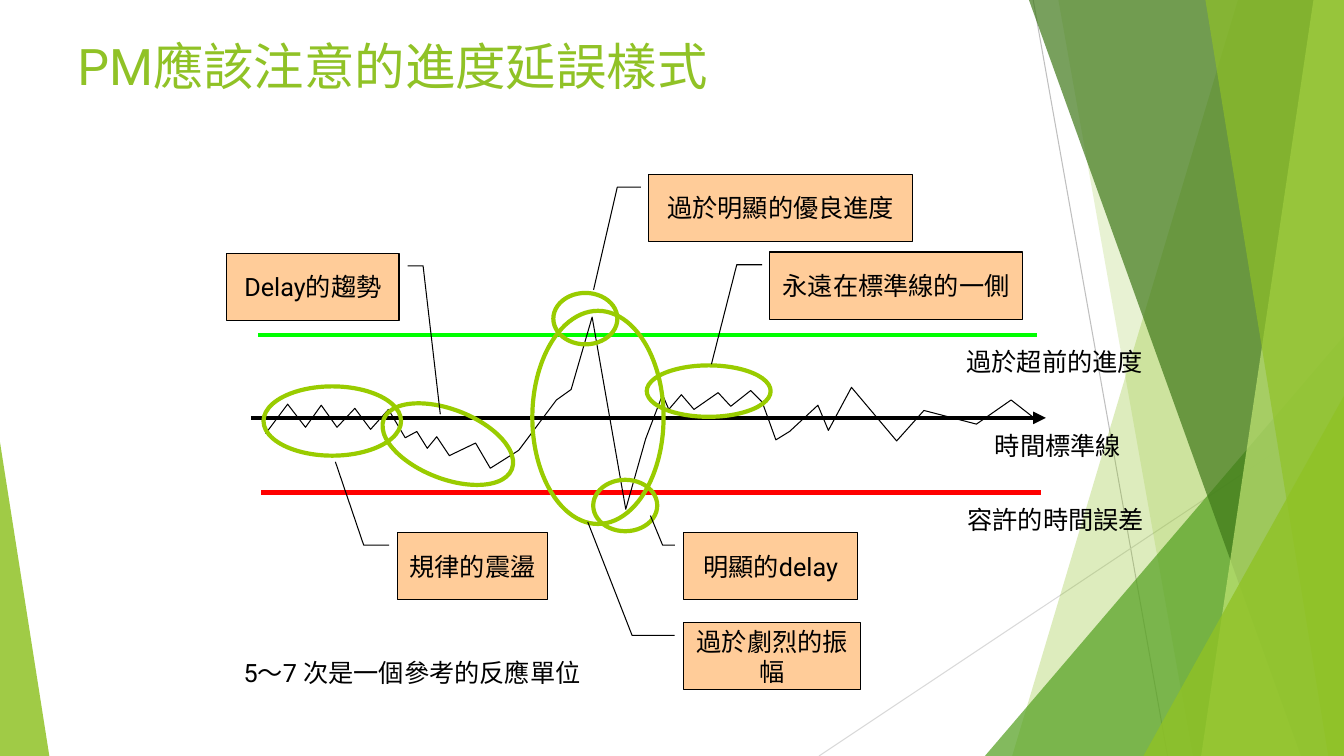
from pptx import Presentation
from pptx.dml.color import RGBColor as Rgb
from pptx.enum.shapes import MSO_CONNECTOR as Link, MSO_SHAPE as Form
from pptx.enum.text import MSO_ANCHOR as Anchor, PP_ALIGN as Align
from pptx.oxml.ns import qn
from pptx.util import Pt
from lxml.etree import SubElement as sub

PX = 9525  # 96 px to the inch
WIDE, HIGH = 1280, 720
FONT = "Roboto"
INK = {
    "black": "000000", "red": "FF0000", "lime": "00FF00", "ring": "99CC00",
    "peach": "FFCC99", "leaf": "90C226", "grass": "54A021", "moss": "3F7819",
    "pale": "C0E474", "gray": "BFBFBF", "mist": "D9D9D9",
}


class Board:
    def __init__(self, slide):
        self.slide = slide
        self.shapes = slide.shapes

    def tint(self, name):
        return Rgb.from_string(INK[name])

    def paint(self, shape, fill=None, alpha=100, line=None, width=0.75):
        shape.shadow.inherit = False
        if fill:
            shape.fill.solid()
            shape.fill.fore_color.rgb = self.tint(fill)
            if alpha < 100:
                color = shape._element.spPr.find(".//" + qn("a:srgbClr"))
                sub(color, qn("a:alpha"), val=str(alpha * 1000))
        else:
            shape.fill.background()
        if line:
            shape.line.color.rgb = self.tint(line)
            shape.line.width = Pt(width)
        else:
            shape.line.fill.background()

    def text(self, shape, words, size=18, color="black", align=Align.CENTER,
             anchor=Anchor.TOP, wrap=True):
        frame = shape.text_frame
        frame.word_wrap = wrap
        frame.vertical_anchor = anchor
        para = frame.paragraphs[0]
        para.alignment = align
        run = para.add_run()
        run.text = words
        font = run.font
        font.size, font.name = Pt(size), FONT
        font.color.rgb = self.tint(color)
        sub(run._r.get_or_add_rPr(), qn("a:ea"), typeface=FONT)

    def title(self, words, x, y, w, h):
        box = self.shapes.title
        box.left, box.top, box.width, box.height = (n * PX for n in (x, y, w, h))
        self.text(box, words, 36, "leaf", Align.LEFT)

    def label(self, words, x, y, w, h, wrap=False):
        box = self.shapes.add_textbox(x * PX, y * PX, w * PX, h * PX)
        self.text(box, words, wrap=wrap)

    def form(self, kind, x, y, w, h, **look):
        shape = self.shapes.add_shape(kind, x * PX, y * PX, w * PX, h * PX)
        self.paint(shape, **look)
        return shape

    def line(self, x1, y1, x2, y2, color, width, arrow=False):
        link = self.shapes.add_connector(
            Link.STRAIGHT, x1 * PX, y1 * PX, x2 * PX, y2 * PX)
        link.line.color.rgb = self.tint(color)
        link.line.width = Pt(width)
        props = link._element.spPr
        if arrow:
            sub(props.find(qn("a:ln")), qn("a:tailEnd"), type="triangle")
        sub(props, qn("a:effectLst"))

    def trace(self, points, close=False, **look):
        pen = self.shapes.build_freeform(*points[0], scale=PX)
        pen.add_line_segments(points[1:], close=close)
        self.paint(pen.convert_to_shape(), **look)

    def blade(self, top, foot, fill, alpha):
        edge = [(top, 0), (WIDE, 0), (WIDE, HIGH), (foot, HIGH)]
        self.trace(edge, close=True, fill=fill, alpha=alpha)

    def wedge(self, x, y, w, tip, fill, alpha):
        shape = self.form(Form.ISOSCELES_TRIANGLE, x, y, w, HIGH - y,
                          fill=fill, alpha=alpha)
        shape.adjustments[0] = tip

    def ring(self, x, y, w, h, turn=0):
        self.form(Form.OVAL, x, y, w, h, line="ring", width=3).rotation = turn

    def note(self, words, x, y, w, start, bend, tip):
        shape = self.form(Form.LINE_CALLOUT_2, x, y, w, 64,
                          fill="peach", line="black")
        for i, part in enumerate((0.19, start, 0.19, bend, *tip)):
            shape.adjustments[i] = part
        self.text(shape, words, anchor=Anchor.MIDDLE)


def main():
    deck = Presentation()
    deck.slide_width, deck.slide_height = WIDE * PX, HIGH * PX
    board = Board(deck.slides.add_slide(deck.slide_layouts[5]))

    # Green backdrop
    board.line(984, 0, 1112, 720, "gray", 0.75)
    board.line(1280, 387, 780, 720, "mist", 0.75)
    board.blade(1179, 964, "leaf", 30)
    board.blade(1008, 1136, "leaf", 20)
    board.wedge(938, 320, 342, 1, "grass", 72)
    board.blade(980, 1239, "moss", 70)
    board.blade(1251, 1144, "pale", 70)
    board.blade(1148, 1265, "leaf", 65)
    board.wedge(1089, 377, 191, 1, "leaf", 80)
    board.wedge(0, 421, 47, 0, "leaf", 85)

    board.title("PM應該注意的進度延誤樣式", 64, 29, 1152, 120)

    # Standard line and limits
    board.line(239, 398, 996, 398, "black", 3, arrow=True)
    board.line(249, 469, 991, 469, "red", 3)
    board.line(246, 319, 988, 319, "lime", 3)

    # Progress curve
    board.trace([
        (253, 413), (274, 385), (291, 407), (306, 386), (321, 407),
        (338, 389), (353, 409), (370, 390), (386, 417), (397, 411),
        (407, 427), (416, 416), (428, 434), (453, 422), (467, 446),
        (494, 429), (530, 381), (544, 371), (564, 302), (596, 485),
        (615, 418), (631, 376), (637, 390), (649, 376), (661, 390),
        (684, 374), (696, 387), (715, 372), (726, 383), (739, 419),
        (752, 411), (779, 386), (789, 410), (811, 369), (854, 420),
        (880, 391), (930, 404), (963, 381), (986, 399),
    ], line="black")

    # Rings around each pattern
    for spot in (
        (251, 368, 131, 66), (361, 390, 131, 66, 21.3), (565, 457, 61, 49),
        (616, 348, 118, 49), (527, 279, 61, 49), (507, 296, 125, 203),
    ):
        board.ring(*spot)

    # Callouts: box, leader start, bend, tip (down, across)
    for note in (
        ("規律的震盪", 379, 507, 142, -0.06, -0.23, (-1.05, -0.42)),
        ("Delay的趨勢", 216, 241, 164, 1.05, 1.14, (2.4, 1.24)),
        ("明顯的delay", 651, 507, 166, -0.05, -0.12, (-0.25, -0.19)),
        ("永遠在標準線的一側", 733, 240, 241, -0.03, -0.13, (1.67, -0.23)),
        ("過於明顯的優良進度", 618, 166, 251, -0.03, -0.12, (1.72, -0.21)),
        ("過於劇烈的振幅", 651, 593, 169, -0.05, -0.29, (-1.5, -0.54)),
    ):
        board.note(*note)

    # Labels
    board.label("過於超前的進度", 911, 325, 187, 38)
    board.label("時間標準線", 938, 405, 139, 38)
    board.label("容許的時間誤差", 912, 476, 187, 38)
    board.label("5～7 次是一個參考的反應單位", 221, 621, 343, 38, wrap=True)

    deck.save("out.pptx")


if __name__ == "__main__":
    main()
